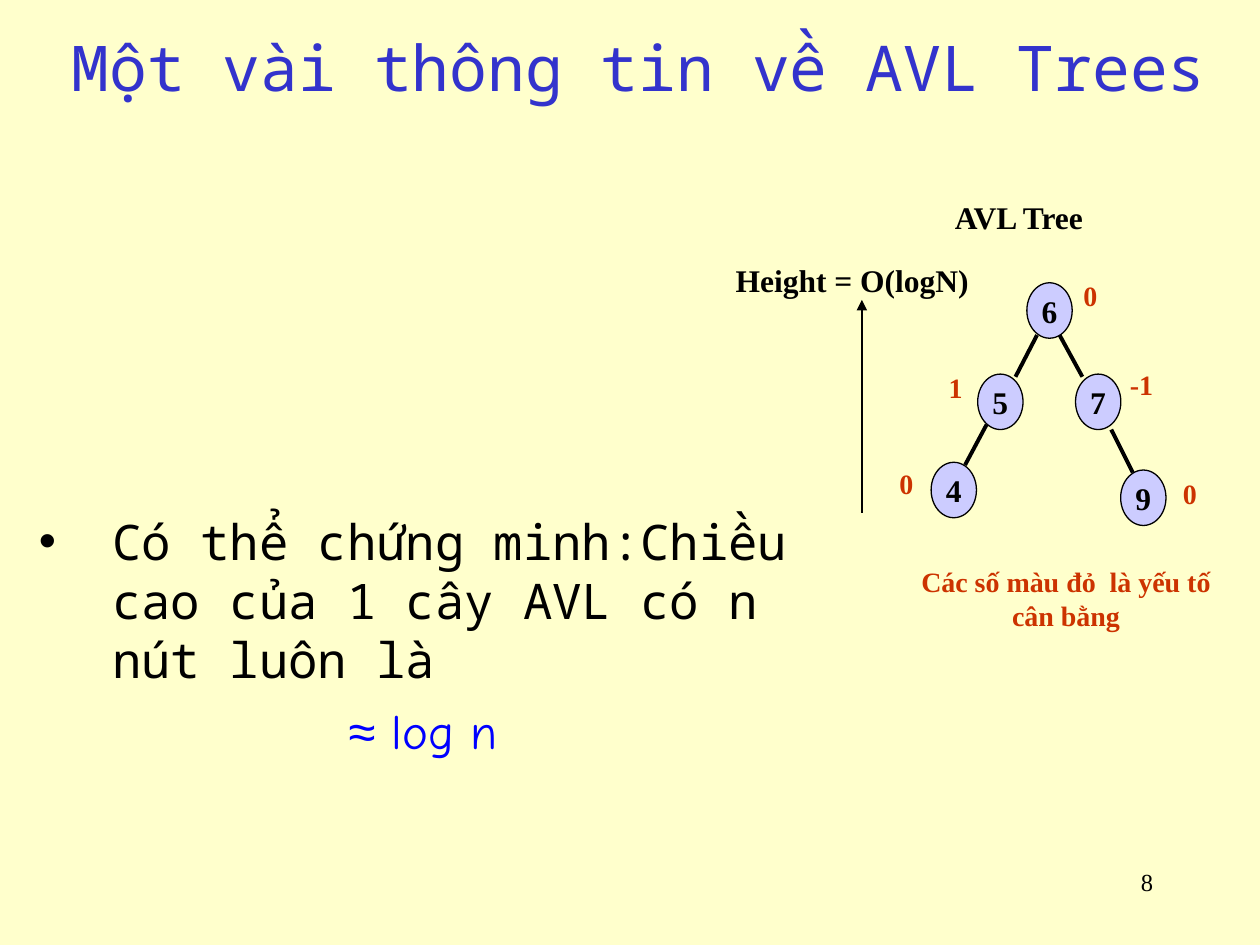
from lxml.etree import SubElement as Sub
from pptx import Presentation
from pptx.dml.color import RGBColor
from pptx.enum.shapes import MSO_CONNECTOR as Conn, MSO_SHAPE as Kind
from pptx.enum.text import MSO_ANCHOR as Anchor, MSO_AUTO_SIZE as Fit, PP_ALIGN as Align
from pptx.oxml.ns import qn
from pptx.util import Pt

rgb = RGBColor.from_string
BLACK, RED, BLUE, TITLE = "000000", "CC3300", "0000FF", "3333CC"
MONO, ROMAN = "Noto Sans Mono", "Times New Roman"
NODE = dict(name=ROMAN, size=Pt(18), bold=True)
NOTE = dict(name=ROMAN, size=Pt(16), bold=True)

deck = Presentation()
deck.slide_width, deck.slide_height = Pt(720), Pt(540)
slide = deck.slides.add_slide(deck.slide_layouts[6])
slide.background.fill.solid()
slide.background.fill.fore_color.rgb = rgb("FFFFCC")
parts = slide.shapes


def write(para, text, form, color, align=Align.LEFT):
    para.alignment = align
    run = para.add_run()
    run.text = text
    for key, value in form.items():
        setattr(run.font, key, value)
    run.font.color.rgb = rgb(color)


def line(x1, y1, x2, y2, width):
    item = parts.add_connector(Conn.STRAIGHT, Pt(x1), Pt(y1), Pt(x2), Pt(y2))
    item.line.color.rgb = rgb(BLACK)
    item.line.width = Pt(width)
    Sub(item._element.spPr, qn("a:effectLst"))
    return item


# Single-paragraph texts: text, box, wrap, format, colour, alignment
texts = [
    ("8", (516.2, 491.8, 149.8, 36), True,
     dict(name=ROMAN, size=Pt(14)), BLACK, Align.RIGHT),
    ("Một vài thông tin về AVL Trees", (21.6, 10.8, 686.9, 54.7), True,
     dict(name=MONO, size=Pt(36)), TITLE, Align.CENTER),
    ("AVL Tree", (538.6, 109.4, 92.9, 28.8), False, NODE, BLACK, Align.LEFT),
    ("Height = O(logN)", (413.3, 145.4, 147.6, 28.8), False, NODE, BLACK, Align.LEFT),
    ("Các số màu đỏ  là yếu tố cân bằng", (510.5, 319, 197.3, 46), True,
     NOTE, RED, Align.CENTER),
]

# Balance factors, with boxes wide enough for one line
for text, x, y in [("0", 668.9, 268.6), ("-1", 638.6, 206.6), ("0", 612, 155.5),
                   ("0", 506.9, 262.8), ("1", 535, 208.1)]:
    width = 29 if len(text) > 1 else 23
    texts.append((text, (x, y, width, 26.6), False, NOTE, RED, Align.LEFT))

for text, area, wrap, form, color, align in texts:
    frame = parts.add_textbox(*map(Pt, area)).text_frame
    frame.word_wrap = wrap
    if not wrap:
        frame.auto_size = Fit.SHAPE_TO_FIT_TEXT
    if color == TITLE:
        frame.vertical_anchor = Anchor.MIDDLE
    write(frame.paragraphs[0], text, form, color, align)

# Body: bullet and centred formula
frame = parts.add_textbox(Pt(15.1), Pt(288.7), Pt(453.6), Pt(136.8)).text_frame
frame.word_wrap = True
first, last = frame.paragraphs[0], frame.add_paragraph()
for para in (first, last):
    prop = para._p.get_or_add_pPr()
    prop.set("marL", str(Pt(42)))
    prop.set("indent", str(Pt(-42)))
prop = first._p.get_or_add_pPr()
Sub(Sub(prop, qn("a:buClr")), qn("a:srgbClr"), val=BLACK)
Sub(prop, qn("a:buFont"), typeface="Arial")
Sub(prop, qn("a:buChar"), char="•")
last.space_before = Pt(7)
write(first, "Có thể chứng minh:Chiều cao của 1 cây AVL có n nút luôn là",
      dict(name=MONO, size=Pt(28)), BLACK)
for text, face in [("≈", "Arial"), (" log n", "Comic Neue")]:
    write(last, text, dict(name=face, size=Pt(28)), BLUE, Align.CENTER)

# Tree nodes
for text, x, y in [("6", 586.8, 161.6), ("5", 558.7, 213.8), ("4", 532.1, 264.2),
                   ("7", 614.6, 213.8), ("9", 640.4, 268.6)]:
    node = parts.add_shape(Kind.OVAL, Pt(x), Pt(y), Pt(25.9), Pt(31.7))
    node.shadow.inherit = False
    node.fill.solid()
    node.fill.fore_color.rgb = rgb("CCCCFF")
    node.line.color.rgb = rgb(BLACK)
    node.line.width = Pt(0.75)
    frame = node.text_frame
    frame.word_wrap = False
    frame.vertical_anchor = Anchor.MIDDLE
    write(frame.paragraphs[0], text, NODE, BLACK, Align.CENTER)

# Tree edges
for ends in [(592.6, 191.5, 580.3, 215.3), (605.5, 191.5, 618.5, 215.3),
             (635, 245.5, 647.3, 270), (563.8, 242.6, 551.5, 265.7)]:
    line(*ends, 2.25)

# Height arrow
arrow = line(492.5, 293, 492.5, 171.4, 0.75)
Sub(arrow.line._get_or_add_ln(), qn("a:tailEnd"), type="triangle")

deck.save("out.pptx")
